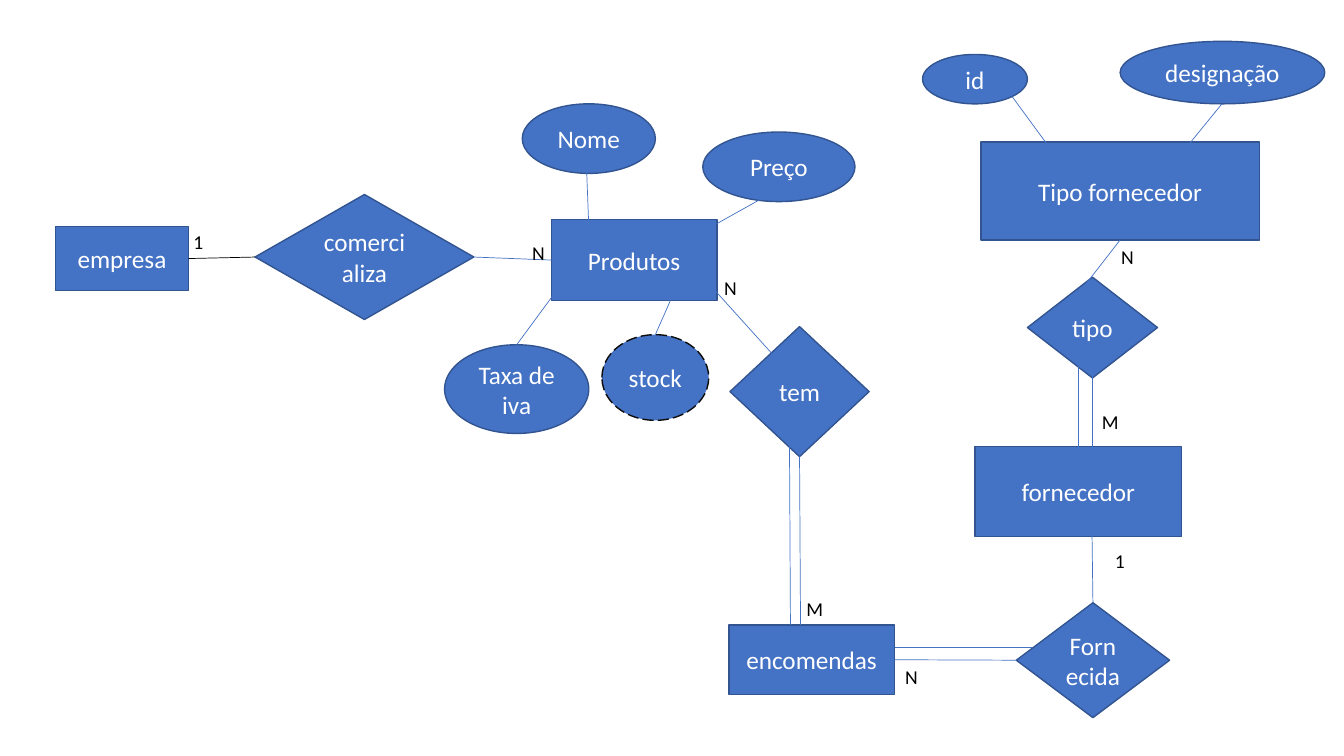
from pptx import Presentation
from pptx.dml.color import RGBColor
from pptx.enum import dml, shapes, text
from pptx.oxml.ns import qn
from pptx.util import Inches, Pt
from lxml import etree

COLORS = {"fill": "4472C4", "outline": "325491", "dash": "0D0D0D",
          "light": "FFFFFF", "dark": "000000"}
ENTITY = shapes.MSO_SHAPE.RECTANGLE
RELATION = shapes.MSO_SHAPE.DIAMOND
ATTRIBUTE = shapes.MSO_SHAPE.OVAL
TOP, LEFT, BOTTOM, RIGHT = range(4)


def color(name):
    return RGBColor.from_string(COLORS[name])


def write(sp, words, size, tone):
    tf = sp.text_frame
    tf.word_wrap = True
    tf.text = words
    font = tf.paragraphs[0].runs[0].font
    font.name, font.size = "Calibri", Pt(size)
    font.color.rgb = color(tone)
    return tf


class Region:
    """Places diagram parts relative to the top left corner x, y."""

    def __init__(self, slide, x, y):
        self.shapes, self.x, self.y = slide.shapes, x, y

    def at(self, x, y):
        return Inches(self.x + x), Inches(self.y + y)

    def node(self, kind, words, x, y, w, h, derived=False):
        sp = self.shapes.add_shape(kind, *self.at(x, y), Inches(w), Inches(h))
        sp.shadow.inherit = False
        sp.fill.solid()
        sp.fill.fore_color.rgb = color("fill")
        sp.line.color.rgb = color("dash" if derived else "outline")
        sp.line.width = Pt(1)
        if derived:
            sp.line.dash_style = dml.MSO_LINE.LONG_DASH
        tf = write(sp, words, 18, "light")
        tf.vertical_anchor = text.MSO_ANCHOR.MIDDLE
        tf.paragraphs[0].alignment = text.PP_ALIGN.CENTER
        return sp

    def label(self, words, x, y, w, h=0.34):
        sp = self.shapes.add_textbox(*self.at(x, y), Inches(w), Inches(h))
        write(sp, words, 14, "dark")

    def link(self, start, end, tone="fill"):
        """Each end is a point (x, y) or a joined side (shape, site)."""
        glued = [not isinstance(e[0], (int, float)) for e in (start, end)]
        points = [self.at(0, 0) if g else self.at(*e)
                  for g, e in zip(glued, (start, end))]
        line = self.shapes.add_connector(
            shapes.MSO_CONNECTOR.STRAIGHT, *points[0], *points[1])
        if glued[0]:
            line.begin_connect(*start)
        if glued[1]:
            line.end_connect(*end)
        line.line.color.rgb = color(tone)
        line.line.width = Pt(0.5)
        etree.SubElement(line._element.spPr, qn("a:effectLst"))


def draw_products(slide, x, y):
    g = Region(slide, x, y)
    company = g.node(ENTITY, "empresa", 0, 1.22, 1.32, 0.63)
    sells = g.node(RELATION, "comercializa", 1.98, 0.9, 2.17, 1.24)
    products = g.node(ENTITY, "Produtos", 4.92, 1.15, 1.64, 0.8)
    g.node(ATTRIBUTE, "Nome", 4.63, 0, 1.32, 0.69)
    g.node(ATTRIBUTE, "Preço", 6.42, 0.28, 1.51, 0.69)
    tax = g.node(ATTRIBUTE, "Taxa de iva", 3.86, 2.39, 1.43, 0.88)
    stock = g.node(ATTRIBUTE, "stock", 5.42, 2.29, 1.06, 0.85, derived=True)
    g.link((company, RIGHT), (sells, LEFT), "dark")
    g.link((sells, RIGHT), (products, LEFT))
    g.link((5.29, 1.22), (5.26, 0.44))
    g.link((6.54, 1.2), (7.22, 0.82))
    g.link((tax, TOP), (4.98, 1.84))
    g.link((6.1, 1.95), (stock, TOP))
    g.label("1", 1.27, 1.2, 0.52, 0.57)
    g.label("N", 4.63, 1.31, 0.29)


def draw_orders(slide, x, y):
    g = Region(slide, x, y)
    has = g.node(RELATION, "tem", 0.13, 0.55, 1.38, 1.29)
    orders = g.node(ENTITY, "encomendas", 0.12, 3.51, 1.64, 0.69)
    g.link((-0.02, 0.19), (0.62, 0.9))
    g.link((has, BOTTOM), (0.83, 3.51))
    g.link((0.72, 1.67), (0.73, 3.51))
    g.label("N", 0, 0, 0.17)
    g.label("M", 0.79, 3.18, 0.39)
    g.label("N", 1.77, 3.86, 0.28)
    return orders


def draw_suppliers(slide, x, y):
    g = Region(slide, x, y)
    g.node(ATTRIBUTE, "id", 0, 0.13, 1.04, 0.49)
    g.node(ATTRIBUTE, "designação", 1.96, 0, 2.03, 0.62)
    category = g.node(ENTITY, "Tipo fornecedor", 0.58, 1, 2.76, 0.97)
    g.node(RELATION, "tipo", 1.04, 2.34, 1.29, 1)
    g.node(ENTITY, "fornecedor", 0.52, 4.02, 2.05, 0.89)
    supplied = g.node(RELATION, "Fornecida", 0.93, 5.57, 1.52, 1.14)
    g.link((0.89, 0.55), (1.3, 1.11))
    g.link((2.97, 0.62), (2.57, 1.11))
    g.link((category, BOTTOM), (1.44, 2.64))
    g.link((1.68, 4.12), (1.68, 3.18))
    g.link((1.55, 4.02), (1.55, 3.18))
    g.link((supplied, TOP), (1.68, 4.81))
    g.label("N", 1.87, 1.97, 0.41)
    g.label("M", 1.68, 3.61, 0.28)
    g.label("1", 1.81, 4.99, 0.52)
    return supplied


def main():
    prs = Presentation()
    prs.slide_width, prs.slide_height = Inches(13.33), Inches(7.5)
    slide = prs.slides.add_slide(prs.slide_layouts[6])
    draw_products(slide, 0.55, 1.03)
    orders = draw_orders(slide, 7.11, 2.69)
    supplied = draw_suppliers(slide, 9.15, 0.41)
    whole = Region(slide, 0, 0)
    whole.link((orders, RIGHT), (supplied, LEFT))
    whole.link((8.88, 6.42), (10.24, 6.42))
    prs.save("out.pptx")


if __name__ == "__main__":
    main()
